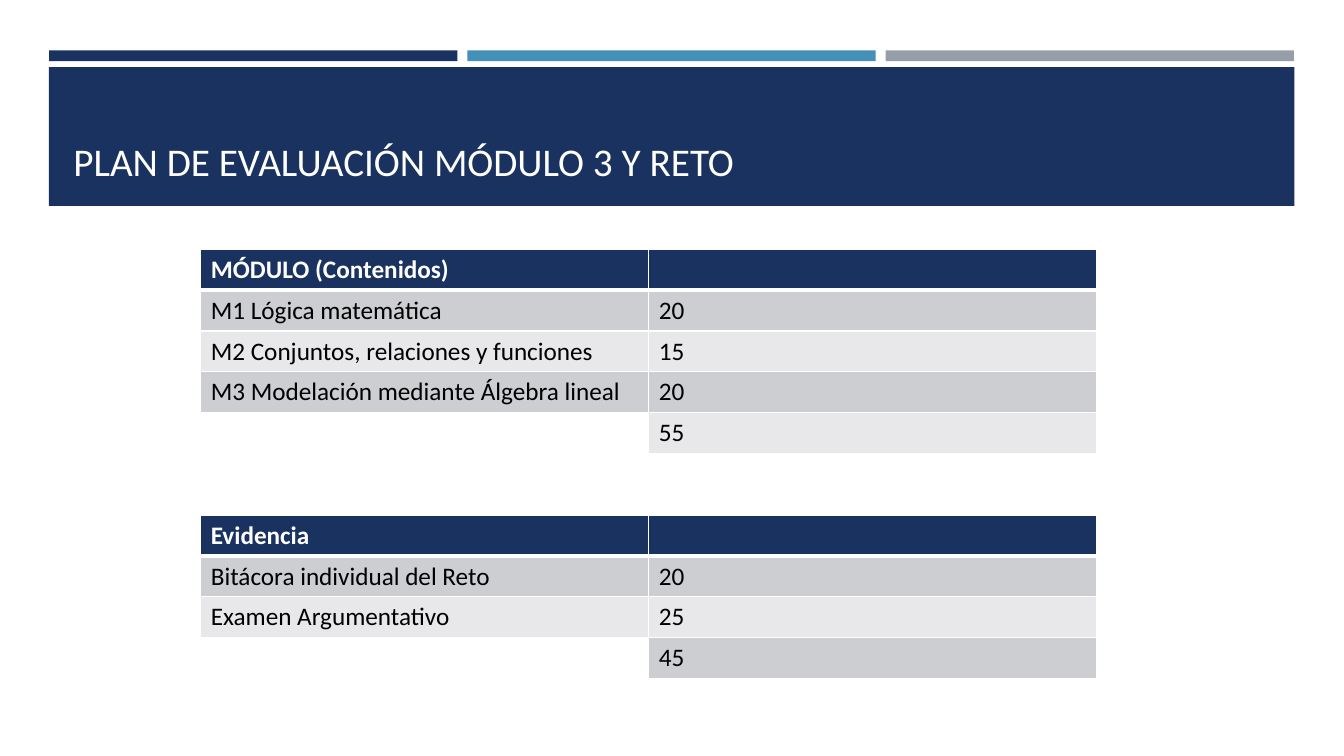
from lxml import etree
from pptx import Presentation
from pptx import util as u
from pptx.dml.color import RGBColor
from pptx.enum import shapes, text
from pptx.oxml import ns

NAVY = RGBColor(0x1A, 0x32, 0x60)
BLUE = RGBColor(0x45, 0x90, 0xB8)
GREY = RGBColor(0x96, 0x9F, 0xA7)
DARK_BAND = RGBColor(0xCD, 0xCE, 0xD2)
LIGHT_BAND = RGBColor(0xE8, 0xE8, 0xEA)
WHITE = RGBColor(0xFF, 0xFF, 0xFF)
BLACK = RGBColor(0, 0, 0)

MODULES = [
    ("MÓDULO (Contenidos)", ""),
    ("M1 Lógica matemática", "20"),
    ("M2 Conjuntos, relaciones y funciones", "15"),
    ("M3 Modelación mediante Álgebra lineal", "20"),
    ("", "55"),
]
EVIDENCE = [
    ("Evidencia", ""),
    ("Bitácora individual del Reto", "20"),
    ("Examen Argumentativo", "25"),
    ("", "45"),
]


class SlideBuilder:
    font_name = "Calibri"
    row_height = 1.03

    def __init__(self, slide):
        self.slide = slide

    def set_text(self, paragraph, content, color, **formats):
        paragraph.text = content
        for name, value in {"name": self.font_name, **formats}.items():
            setattr(paragraph.font, name, value)
        paragraph.font.color.rgb = color

    def bar(self, left, top, width, height, color):
        shape = self.slide.shapes.add_shape(
            shapes.MSO_SHAPE.RECTANGLE, *map(u.Cm, (left, top, width, height)))
        shape.shadow.inherit = False
        shape.fill.solid()
        shape.fill.fore_color.rgb = color
        shape.line.fill.background()

    def title(self, left, top, width, height, content):
        box = self.slide.shapes.add_textbox(*map(u.Cm, (left, top, width, height)))
        frame = box.text_frame
        frame.word_wrap = True
        frame.vertical_anchor = text.MSO_ANCHOR.BOTTOM
        self.set_text(frame.paragraphs[0], content, WHITE, size=u.Pt(28))

    def border(self, cell, side, points):
        properties = cell._tc.get_or_add_tcPr()
        line = etree.SubElement(properties, ns.qn(f"a:ln{side}"), w=str(u.Pt(points)))
        fill = etree.SubElement(line, ns.qn("a:solidFill"))
        etree.SubElement(fill, ns.qn("a:srgbClr"), val=str(WHITE))

    def table(self, left, top, width, rows):
        height = self.row_height * len(rows)
        table = self.slide.shapes.add_table(
            len(rows), 2, *map(u.Cm, (left, top, width, height))).table
        for row_index, values in enumerate(rows):
            table.rows[row_index].height = u.Cm(self.row_height)
            for column_index, value in enumerate(values):
                self.cell(table.cell(row_index, column_index), row_index, value)

    def cell(self, cell, row_index, value):
        header = row_index == 0
        widths = {"L": 1, "R": 1, "T": 3 if row_index == 1 else 1, "B": 3 if header else 1}
        for side, points in widths.items():
            self.border(cell, side, points)
        if header or value:
            cell.fill.solid()
            band = DARK_BAND if row_index % 2 else LIGHT_BAND
            cell.fill.fore_color.rgb = NAVY if header else band
        else:
            cell.fill.background()
        self.set_text(cell.text_frame.paragraphs[0], value,
                      WHITE if header else BLACK, size=u.Pt(18), bold=header)


def main():
    presentation = Presentation()
    presentation.slide_width = u.Cm(33.87)
    presentation.slide_height = u.Cm(19.05)
    builder = SlideBuilder(presentation.slides.add_slide(presentation.slide_layouts[6]))
    for index, color in enumerate((NAVY, BLUE, GREY)):
        builder.bar(1.24 + index * 10.54, 1.27, 10.29, 0.27, color)
    builder.bar(1.23, 1.69, 31.39, 3.5, NAVY)
    builder.title(1.6, 2.03, 30.63, 2.74, "PLAN DE EVALUACIÓN MÓDULO 3 Y RETO")
    for top, rows in ((6.28, MODULES), (12.98, EVIDENCE)):
        builder.table(5.06, top, 22.58, rows)
    presentation.save("out.pptx")


if __name__ == "__main__":
    main()
